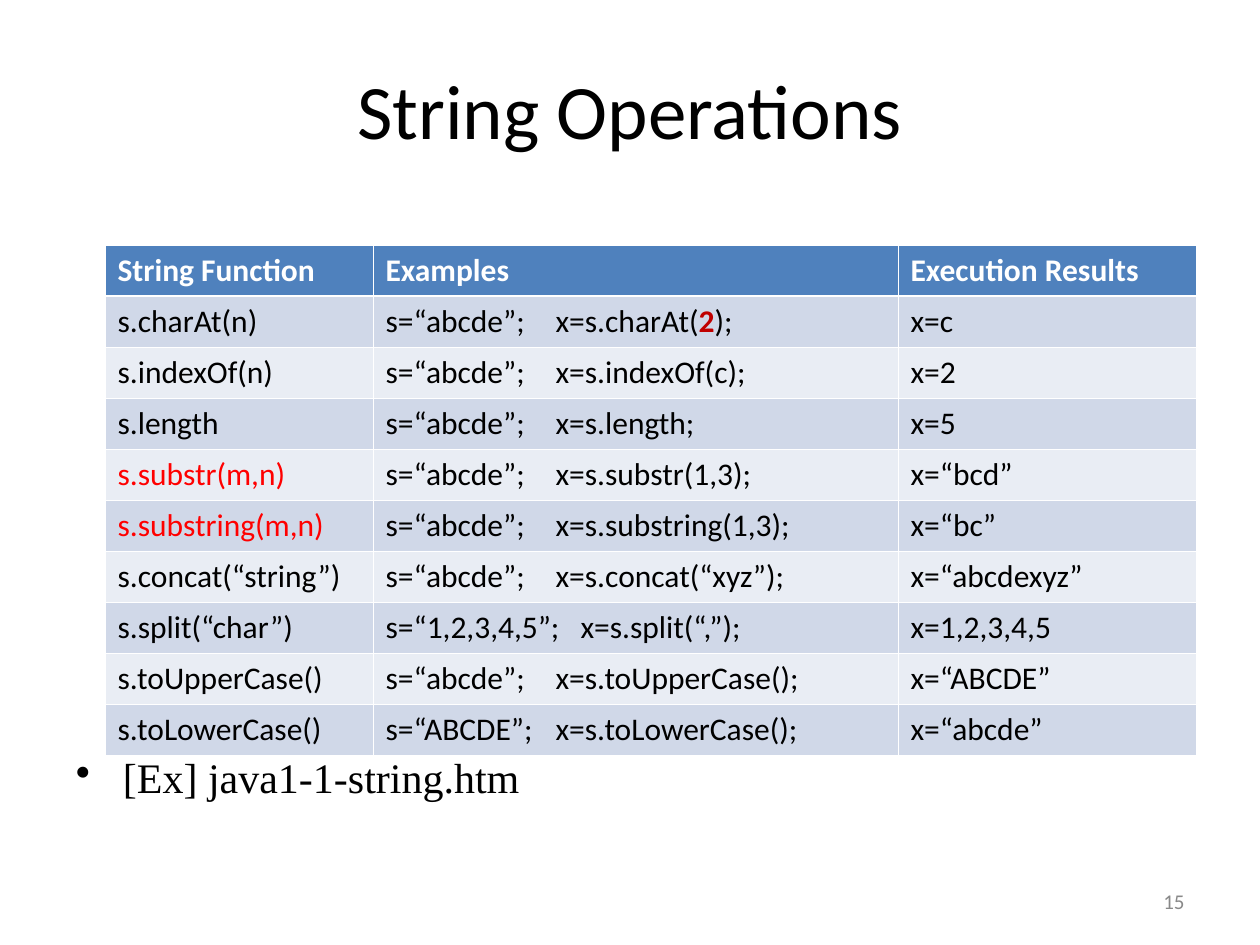
import dataclasses

import pptx
import pptx.dml.color
import pptx.enum.text
import pptx.oxml
import pptx.oxml.ns
import pptx.util

EMU_PER_PX = 914400 / 126
ALIGN = pptx.enum.text.PP_ALIGN
ANCHOR = pptx.enum.text.MSO_ANCHOR


@dataclasses.dataclass
class Theme:
    sans: str = "Calibri"
    serif: str = "Times New Roman"
    black: str = "000000"
    white: str = "FFFFFF"
    grey: str = "898989"
    red: str = "FF0000"
    dark_red: str = "C00000"
    header: str = "4F81BD"
    bands: tuple = ("D0D8E8", "E9EDF4")
    title_size: int = 44
    bullet_size: int = 24
    table_size: int = 18
    number_size: int = 12


theme = Theme()


def px(length):
    return pptx.util.Emu(round(length * EMU_PER_PX))


def write(frame, text, *, size, font=theme.sans, color=theme.black, bold=False,
          align=ALIGN.LEFT, anchor=ANCHOR.TOP, inset=None, accent="", bullet=False, tabs=()):
    """Fill a text frame; the accent part of the text is bold and dark red."""
    frame.word_wrap = True
    frame.vertical_anchor = anchor
    if inset is not None:
        frame.margin_left = frame.margin_right = px(inset)
        frame.margin_top = frame.margin_bottom = px(inset)
    paragraph = frame.paragraphs[0]
    paragraph.alignment = align
    properties = paragraph._p.get_or_add_pPr()
    namespace = pptx.oxml.ns.nsdecls("a")
    if bullet:
        properties.set("marL", str(px(47)))
        properties.set("indent", str(-px(47)))
        properties.append(pptx.oxml.parse_xml(f'<a:buChar {namespace} char="•"/>'))
    if tabs:
        stops = "".join(f'<a:tab pos="{px(stop)}" algn="l"/>' for stop in tabs)
        properties.append(pptx.oxml.parse_xml(f"<a:tabLst {namespace}>{stops}</a:tabLst>"))
    before, mark, after = text.partition(accent) if accent else (text, "", "")
    for part, marked in ((before, False), (mark, True), (after, False)):
        if part:
            run = paragraph.add_run()
            run.text = part
            run.font.name = font
            run.font.size = pptx.util.Pt(size)
            run.font.bold = bold or marked
            run.font.color.rgb = pptx.dml.color.RGBColor.from_string(
                theme.dark_red if marked else color)


presentation = pptx.Presentation()
presentation.slide_width, presentation.slide_height = px(1260), px(945)
slide = presentation.slides.add_slide(presentation.slide_layouts[6])

# Slide number
number = slide.shapes.add_textbox(px(903), px(876), px(294), px(50))
write(number.text_frame, "15", size=theme.number_size, color=theme.grey,
      align=ALIGN.RIGHT, anchor=ANCHOR.MIDDLE)

# Title
title = slide.shapes.add_textbox(px(215), px(65), px(830), px(87))
write(title.text_frame, "String Operations", size=theme.title_size,
      align=ALIGN.CENTER, anchor=ANCHOR.MIDDLE, inset=0)

# Example file
example = slide.shapes.add_textbox(px(76), px(752), px(1108), px(50))
write(example.text_frame, "[Ex] java1-1-string.htm", size=theme.bullet_size,
      font=theme.serif, inset=0, bullet=True)

# Table of string functions
operations = [
    ("String Function", "Examples", "Execution Results"),
    ("s.charAt(n)", "s=“abcde”;\tx=s.charAt(2);", "x=c"),
    ("s.indexOf(n)", "s=“abcde”;\tx=s.indexOf(c);", "x=2"),
    ("s.length", "s=“abcde”;\tx=s.length;", "x=5"),
    ("s.substr(m,n)", "s=“abcde”;\tx=s.substr(1,3);", "x=“bcd”"),
    ("s.substring(m,n)", "s=“abcde”;\tx=s.substring(1,3);", "x=“bc”"),
    ("s.concat(“string”)", "s=“abcde”;\tx=s.concat(“xyz”);", "x=“abcdexyz”"),
    ("s.split(“char”)", "s=“1,2,3,4,5”;\tx=s.split(“,”);", "x=1,2,3,4,5"),
    ("s.toUpperCase()", "s=“abcde”;\tx=s.toUpperCase();", "x=“ABCDE”"),
    ("s.toLowerCase()", "s=“ABCDE”;\tx=s.toLowerCase();", "x=“abcde”"),
]
column_widths = (268, 525, 298)
row_height = 51
highlighted = ("s.substr(m,n)", "s.substring(m,n)")

table = slide.shapes.add_table(
    len(operations), len(column_widths), px(105), px(245),
    px(sum(column_widths)), px(row_height * len(operations))).table
for column, width in zip(table.columns, column_widths):
    column.width = px(width)

for row_index, operation in enumerate(operations):
    table.rows[row_index].height = px(row_height)
    is_header = row_index == 0
    fill = theme.header if is_header else theme.bands[(row_index - 1) % 2]
    for column_index, text in enumerate(operation):
        cell = table.cell(row_index, column_index)

        # White rules, thicker below the header
        for side in "LRTB":
            thick = (row_index, side) in ((0, "B"), (1, "T"))
            width = pptx.util.Pt(1.47 if thick else 0.45)
            cell._tc.get_or_add_tcPr().append(pptx.oxml.parse_xml(
                f'<a:ln{side} {pptx.oxml.ns.nsdecls("a")} w="{width}"><a:solidFill>'
                f'<a:srgbClr val="{theme.white}"/></a:solidFill></a:ln{side}>'))
        cell.fill.solid()
        cell.fill.fore_color.rgb = pptx.dml.color.RGBColor.from_string(fill)

        color = theme.white if is_header else theme.red if text in highlighted else theme.black
        write(cell.text_frame, text, size=theme.table_size, color=color, bold=is_header,
              accent="2" if "charAt(2)" in text else "",
              tabs=(170, 195) if "\t" in text else ())

presentation.save("out.pptx")
